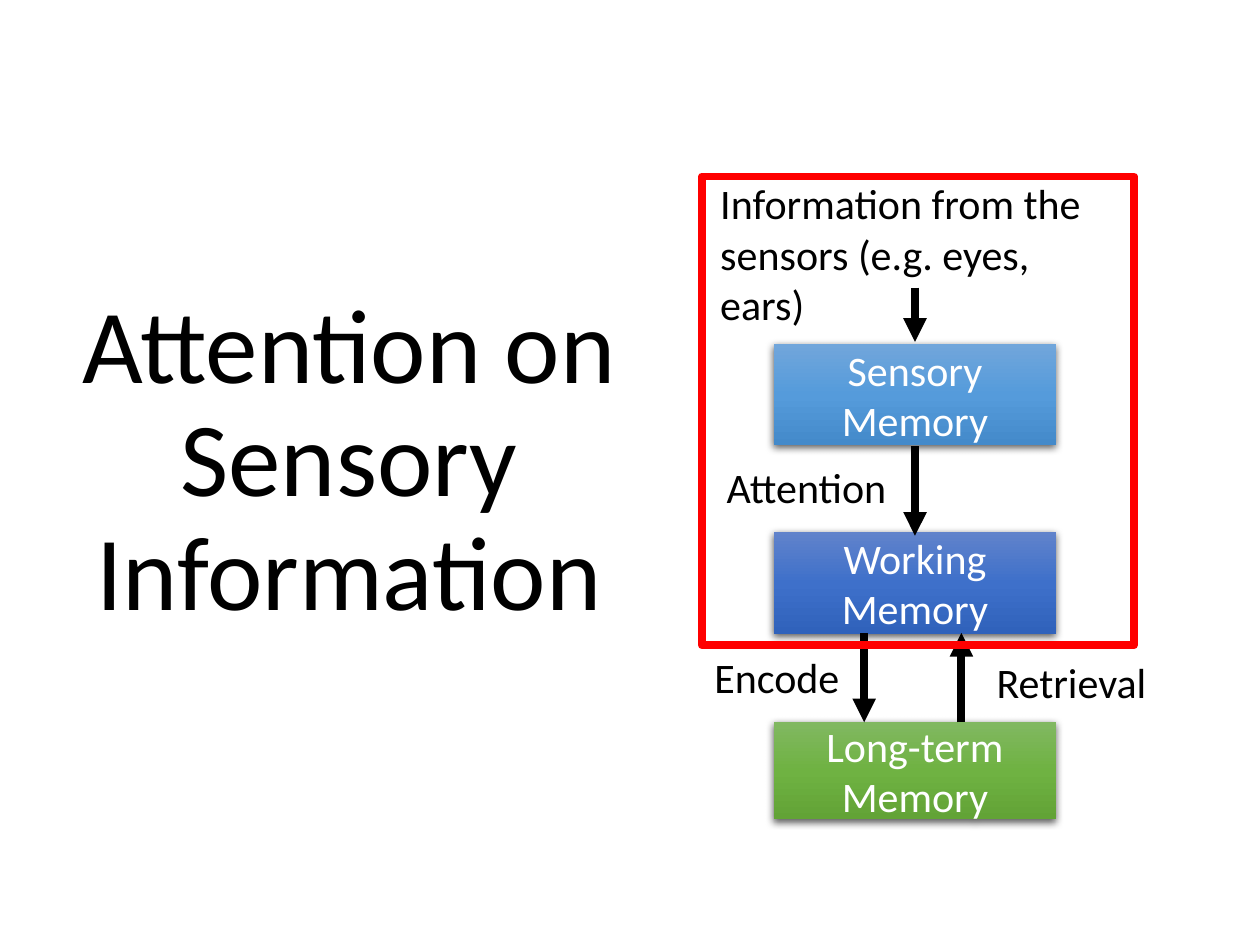
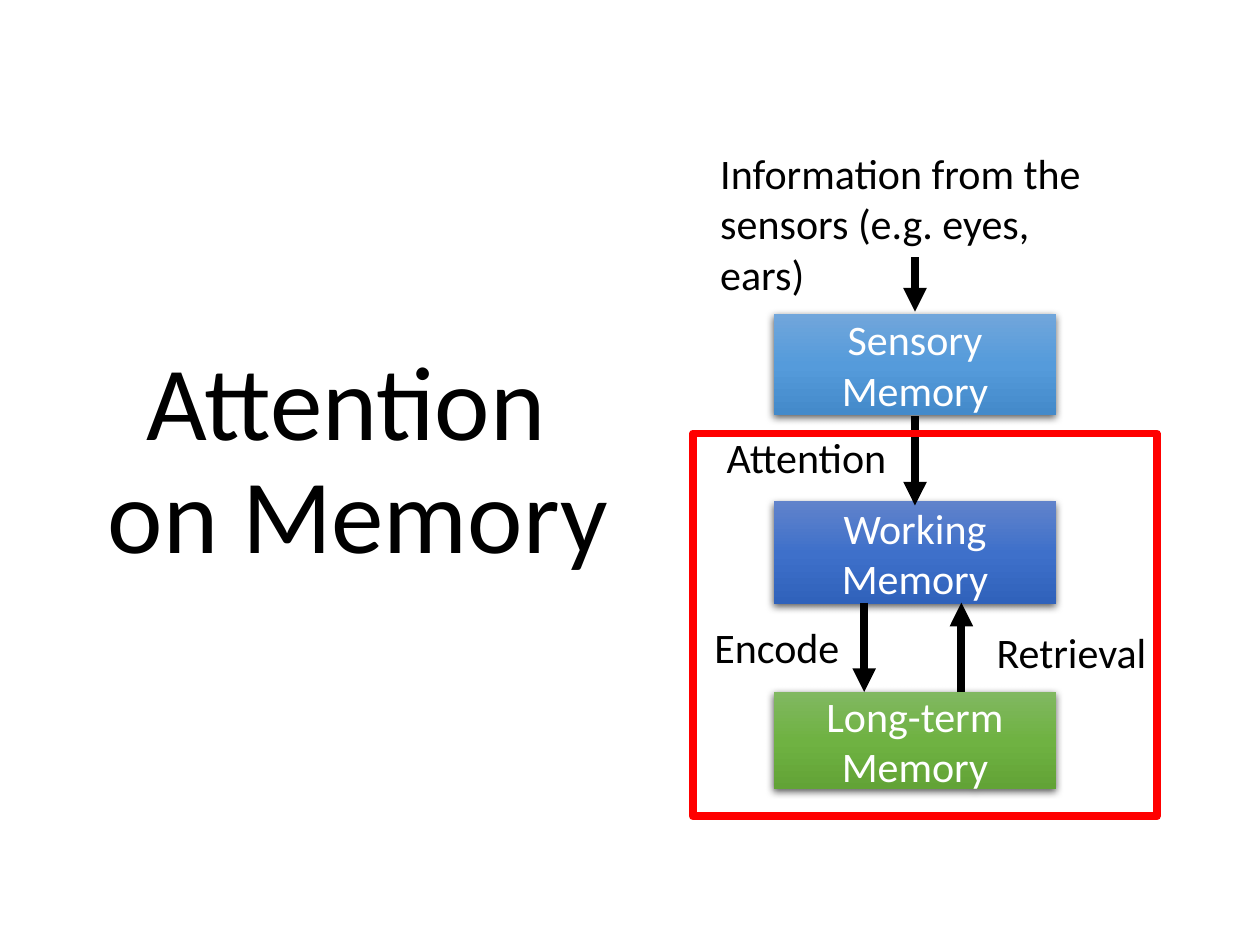
from copy import deepcopy

from lxml import etree
from pptx import Presentation
from pptx.dml.color import RGBColor
from pptx.enum.shapes import MSO_CONNECTOR as Connector, MSO_SHAPE as Shape
from pptx.enum.text import MSO_ANCHOR as Anchor, PP_ALIGN as Align
from pptx.oxml import parse_xml
from pptx.oxml.ns import nsdecls, qn
from pptx.util import Cm, Pt

BLACK = RGBColor(0x00, 0x00, 0x00)
WHITE = RGBColor(0xFF, 0xFF, 0xFF)
RED = RGBColor(0xFF, 0x00, 0x00)
SKY = [RGBColor.from_string(c) for c in ("71A6DB", "559BDB", "448ACA")]
BLUE = [RGBColor.from_string(c) for c in ("6183CB", "3E70CA", "3062BB")]
GREEN = [RGBColor.from_string(c) for c in ("81B861", "6FB242", "62A336")]
FONT = "Calibri"
STROKE = Pt(4.5)

# Slides, in cm: title with its box, top of the diagram, frame around the part in focus
SLIDES = [
    {"title": "Attention on Sensory Information", "title_box": (0.61, 6.25, 12.85, 6.63),
     "diagram_top": 3.46, "frame": (14.15, 3.56, 8.71, 9.45)},
    {"title": "Attention \von Memory", "title_box": (1.07, 5.11, 12.29, 6.63),
     "diagram_top": 2.85, "frame": (13.97, 8.74, 9.35, 7.72)},
]

# Diagram, in cm: every y is counted from the top of the diagram
STORE_LEFT, STORE_WIDTH = 15.6, 5.69
STORE_CENTRE = STORE_LEFT + STORE_WIDTH / 2
STORES = [  # name, colours, y, height
    ("Sensory Memory", SKY, 3.48, 2.03),
    ("Working Memory", BLUE, 7.26, 2.06),
    ("Long-term Memory", GREEN, 11.1, 1.96),
]
ARROWS = [  # x, from y, to y
    (STORE_CENTRE, 2.34, 3.43),
    (STORE_CENTRE, 5.54, 7.34),
    (17.42, 9.3, 11.1),
    (19.38, 11.1, 9.3),
]
LABELS = [  # text, x, y, width, height
    ("Information from the sensors (e.g. eyes, ears)", 14.27, 0, 8.59, 2.31),
    ("Attention", 14.4, 5.72, 4.29, 1.27),
    ("Encode", 14.15, 9.55, 3.86, 1.27),
    ("Retrieval", 19.84, 9.65, 3.86, 1.27),
]


def write(shape, text, size, color, align, anchor):
    frame = shape.text_frame
    frame.word_wrap = True
    frame.vertical_anchor = anchor
    para = frame.paragraphs[0]
    para.text = text
    para.alignment = align
    para.font.name = FONT
    para.font.size = Pt(size)
    para.font.color.rgb = color
    return para


def add_text(page, text, box, size=24, align=Align.LEFT, anchor=Anchor.TOP):
    shape = page.shapes.add_textbox(*map(Cm, box))
    return write(shape, text, size, BLACK, align, anchor)


def fill_gradient(shape, colors):
    shape.fill.gradient()
    shape.fill.gradient_angle = 270
    stop_list = shape._element.spPr.find(qn("a:gradFill")).find(qn("a:gsLst"))
    stop_list.insert(1, deepcopy(stop_list[0]))
    for stop, color, position in zip(shape.fill.gradient_stops, colors, (0, 0.5, 1)):
        stop.color.rgb = color
        stop.position = position


def add_shadow(shape):
    shape.shadow.inherit = False
    effects = shape._element.spPr.find(qn("a:effectLst"))
    effects.append(parse_xml(
        f'<a:outerShdw {nsdecls("a")} blurRad="{Pt(4.5)}" dist="{Pt(1.5)}" dir="5400000" '
        'algn="ctr" rotWithShape="0"><a:srgbClr val="000000"><a:alpha val="63000"/>'
        '</a:srgbClr></a:outerShdw>'))


def add_store(page, name, colors, top, height):
    shape = page.shapes.add_shape(
        Shape.RECTANGLE, Cm(STORE_LEFT), Cm(top), Cm(STORE_WIDTH), Cm(height))
    fill_gradient(shape, colors)
    shape.line.fill.background()
    add_shadow(shape)
    write(shape, name, 24, WHITE, Align.CENTER, Anchor.MIDDLE)


def add_arrow(page, x, start, end):
    arrow = page.shapes.add_connector(Connector.STRAIGHT, Cm(x), Cm(start), Cm(x), Cm(end))
    arrow.line.color.rgb = BLACK
    arrow.line.width = STROKE
    etree.SubElement(arrow.line._get_or_add_ln(), qn("a:tailEnd"), type="triangle")
    etree.SubElement(arrow._element.spPr, qn("a:effectLst"))


def add_focus_frame(page, box):
    shape = page.shapes.add_shape(Shape.RECTANGLE, *map(Cm, box))
    shape.shadow.inherit = False
    shape.fill.background()
    shape.line.color.rgb = RED
    shape.line.width = STROKE


def add_diagram(page, top):
    for name, colors, y, height in STORES:
        add_store(page, name, colors, top + y, height)
    for x, start, end in ARROWS:
        add_arrow(page, x, top + start, top + end)
    for text, x, y, width, height in LABELS:
        add_text(page, text, (x, top + y, width, height))


def main():
    deck = Presentation()
    deck.slide_width, deck.slide_height = Cm(25.4), Cm(19.05)
    for content in SLIDES:
        page = deck.slides.add_slide(deck.slide_layouts[6])
        title = add_text(page, content["title"], content["title_box"],
                         60, Align.CENTER, Anchor.BOTTOM)
        title.line_spacing = 0.9
        add_diagram(page, content["diagram_top"])
        add_focus_frame(page, content["frame"])
    deck.save("out.pptx")


if __name__ == "__main__":
    main()
